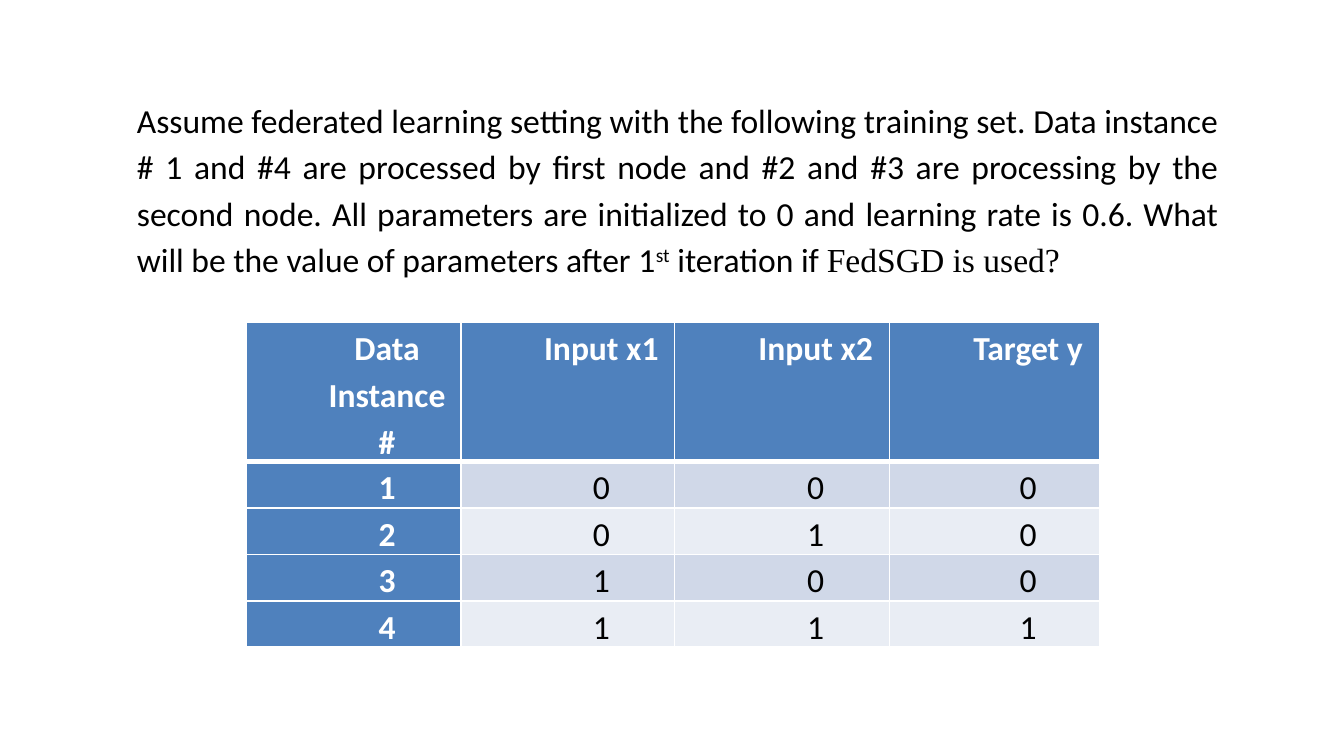
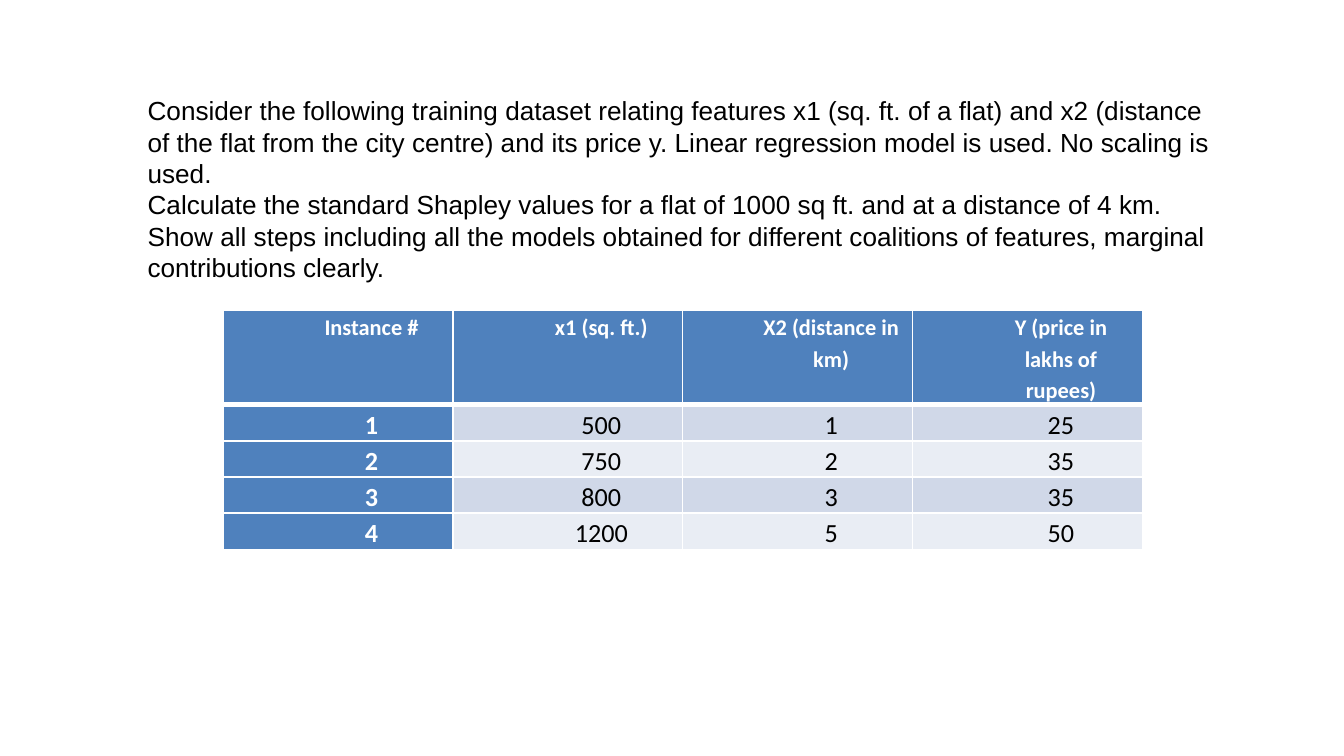
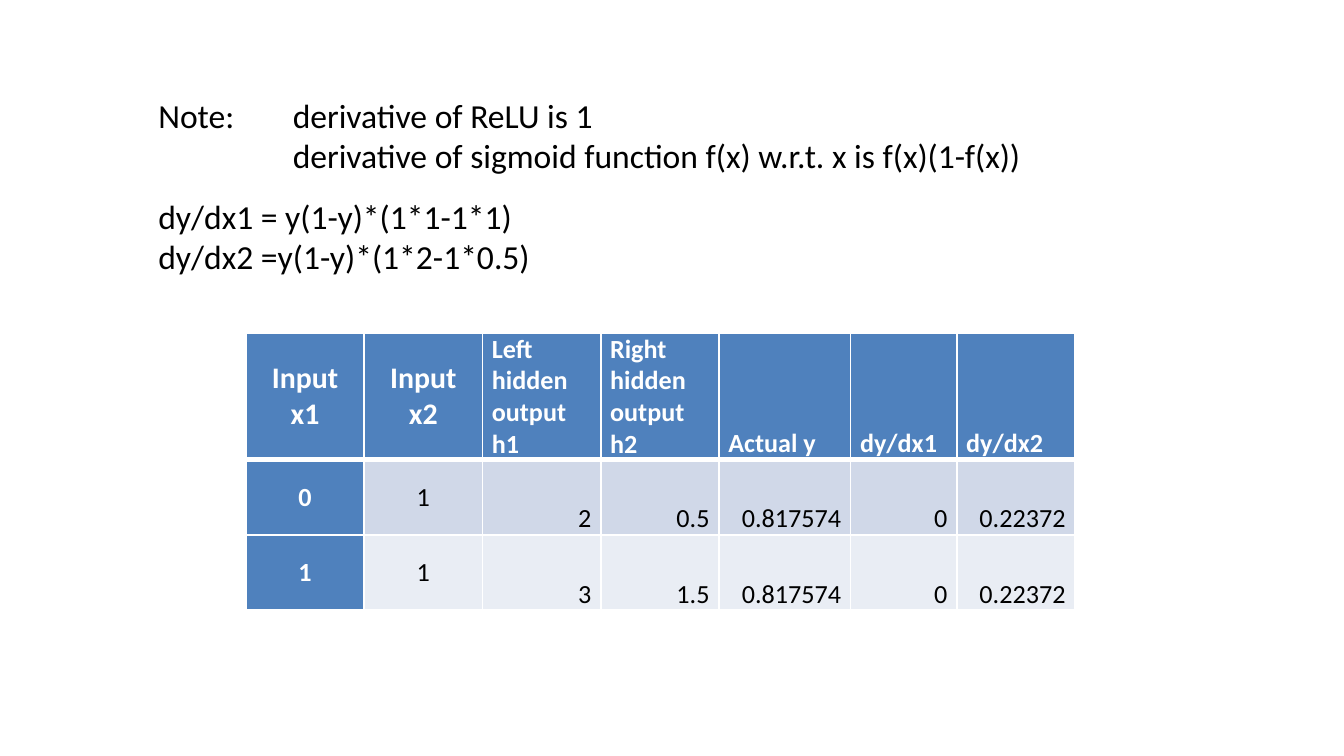
from lxml.etree import SubElement
from pptx import Presentation
from pptx.dml.color import RGBColor
from pptx.enum.text import MSO_ANCHOR, MSO_AUTO_SIZE, PP_ALIGN
from pptx.oxml.ns import qn
from pptx.util import Inches, Pt

W = 10
H = W * 9 / 16
WHITE, BLACK, BLUE = "FFFFFF", "000000", "4F81BD"
BANDS = ["D0D8E8", "E9EDF4"]
TOP, MIDDLE, BOTTOM = MSO_ANCHOR.TOP, MSO_ANCHOR.MIDDLE, MSO_ANCHOR.BOTTOM
LEFT, CENTER, RIGHT = PP_ALIGN.LEFT, PP_ALIGN.CENTER, PP_ALIGN.RIGHT


def add_run(p, text, color=BLACK, **fmt):
    r = p.add_run()
    r.text = text
    r.font.color.rgb = RGBColor.from_string(color)
    for name, value in fmt.items():
        setattr(r.font, name, value)
    return r


def set_borders(cell, top, bottom):
    tcPr = cell._tc.get_or_add_tcPr()
    for side, width in {"L": 1, "R": 1, "T": top, "B": bottom}.items():
        ln = SubElement(tcPr, qn(f"a:ln{side}"), w=str(Pt(width)))
        SubElement(SubElement(ln, qn("a:solidFill")), qn("a:srgbClr"), val=WHITE)


prs = Presentation()
prs.slide_width, prs.slide_height = Inches(W), Inches(H)

body = {"name": "Calibri", "size": Pt(18)}
arial = {"name": "Arial", "size": Pt(14)}
times = {"name": "Times New Roman", "size": Pt(18)}

slides = [
    {
        "box": (0.92, 8.25, 1.49), "anchor": TOP,
        "para": {"alignment": PP_ALIGN.JUSTIFY, "line_spacing": 1.15},
        "text": [[
            ("Assume federated learning setting with the following training set. "
             "Data instance # 1 and #4 are processed by first node and #2 and #3 are "
             "processing by the second node. All parameters are initialized to 0 and "
             "learning rate is 0.6. What will be the value of parameters after 1", body),
            ("st", body), (" iteration if ", body), ("FedSGD is used?", times)]],
        "at": (1.83, 2.4), "cols": [1.6, 1.59, 1.6, 1.56], "heights": (1.03, 0.34),
        "sizes": (18, 18), "lead": 4, "indent": 0.5,
        "rows": [["Data Instance #", "Input x1", "Input x2", "Target y"],
                 ["1", "0", "0", "0"], ["2", "0", "1", "0"],
                 ["3", "1", "0", "0"], ["4", "1", "1", "1"]],
    },
    {
        "box": (1, 8.17, 1.51), "anchor": MIDDLE, "para": {},
        "text": [
            [("Consider the following training dataset relating features x1 (sq. ft. of a "
              "flat) and x2 (distance of the flat from the city centre) and its price y. "
              "Linear regression model is used. No scaling is used.", arial)],
            [("Calculate the standard Shapley values for a flat of 1000 sq ft. and at a "
              "distance of 4 km. Show all steps including all the models obtained for "
              "different coalitions of features, marginal contributions clearly.", arial)]],
        "at": (1.66, 2.31), "cols": [1.71] * 4, "heights": (0.7, 0.27),
        "sizes": (12, 14), "lead": 4, "indent": 0.5,
        "rows": [["Instance #", "x1 (sq. ft.)", "X2 (distance in km)",
                  "Y (price in lakhs of rupees)"],
                 ["1", "500", "1", "25"], ["2", "750", "2", "35"],
                 ["3", "800", "3", "35"], ["4", "1200", "5", "50"]],
    },
    {
        "box": (1.08, 8.08, 1.46), "anchor": MIDDLE, "para": {},
        "text": [[("Note: \tderivative of ReLU is 1", body)],
                 [("\tderivative of sigmoid function f(x) w.r.t. x is f(x)(1-f(x))", body)],
                 [("dy/dx1 = y(1-y)*(1*1-1*1)", body)],
                 [("dy/dx2 =y(1-y)*(1*2-1*0.5)", body)]],
        "at": (1.83, 2.48), "cols": [0.88] * 4 + [0.98, 0.79, 0.88],
        "heights": (0.94, 0.56), "sizes": (14, 14), "lead": 2, "indent": 0,
        "rows": [["Input x1", "Input x2", "Left hidden output h1",
                  "Right hidden output h2", "Actual y", "dy/dx1", "dy/dx2"],
                 ["0", "1", "2", "0.5", "0.817574", "0", "0.22372"],
                 ["1", "1", "3", "1.5", "0.817574", "0", "0.22372"]],
    },
]

for d in slides:
    s = prs.slides.add_slide(prs.slide_layouts[6])

    left, width, height = d["box"]
    tf = s.shapes.add_textbox(*map(Inches, (left, 0.65, width, height))).text_frame
    tf.word_wrap = True
    tf.auto_size = MSO_AUTO_SIZE.SHAPE_TO_FIT_TEXT
    tf.vertical_anchor = d["anchor"]
    for i, runs in enumerate(d["text"]):
        p = tf.add_paragraph() if i else tf.paragraphs[0]
        for name, value in d["para"].items():
            setattr(p, name, value)
        if runs[0][0].startswith("dy/dx1"):
            p.space_before = Pt(11)
        if "\t" in runs[0][0]:
            tabs = SubElement(p._p.get_or_add_pPr(), qn("a:tabLst"))
            SubElement(tabs, qn("a:tab"), pos=str(Inches(1)), algn="l")
        for text, fmt in runs:
            r = add_run(p, text, **fmt)
            if text == "st":
                r.font._element.set("baseline", "30000")

    rows, cols = d["rows"], d["cols"]
    head, line = d["heights"]
    heights = [head] + [line] * (len(rows) - 1)
    frame = s.shapes.add_table(len(rows), len(cols),
                               *map(Inches, (*d["at"], sum(cols), sum(heights))))
    tbl = frame.table
    for col, width in zip(tbl.columns, cols):
        col.width = Inches(width)
    for i, (row, texts) in enumerate(zip(tbl.rows, rows)):
        row.height = Inches(heights[i])
        for j, (cell, text) in enumerate(zip(row.cells, texts)):
            strong, lead = i == 0 or j == 0, j < d["lead"]
            cell.margin_left = cell.margin_right = Inches(0.07)
            cell.margin_top = cell.margin_bottom = 0
            if d["indent"]:
                cell.vertical_anchor = TOP
            else:
                cell.vertical_anchor = MIDDLE if lead else BOTTOM
            set_borders(cell, 3 if i == 1 else 1, 3 if i == 0 else 1)
            cell.fill.solid()
            cell.fill.fore_color.rgb = RGBColor.from_string(
                BLUE if strong else BANDS[(i - 1) % 2])
            p = cell.text_frame.paragraphs[0]
            p.alignment = CENTER if lead else RIGHT if i else LEFT
            if d["indent"]:
                p.line_spacing = 1.15
                pPr = p._p.get_or_add_pPr()
                pPr.set("marL", str(Inches(d["indent"])))
                pPr.set("indent", "0")
            size = d["sizes"][min(i, 1)]
            if i == 0 and lead and not d["indent"]:
                size = 16
            add_run(p, text, WHITE if strong else BLACK,
                    name="Calibri", size=Pt(size), bold=strong)

prs.save("out.pptx")
